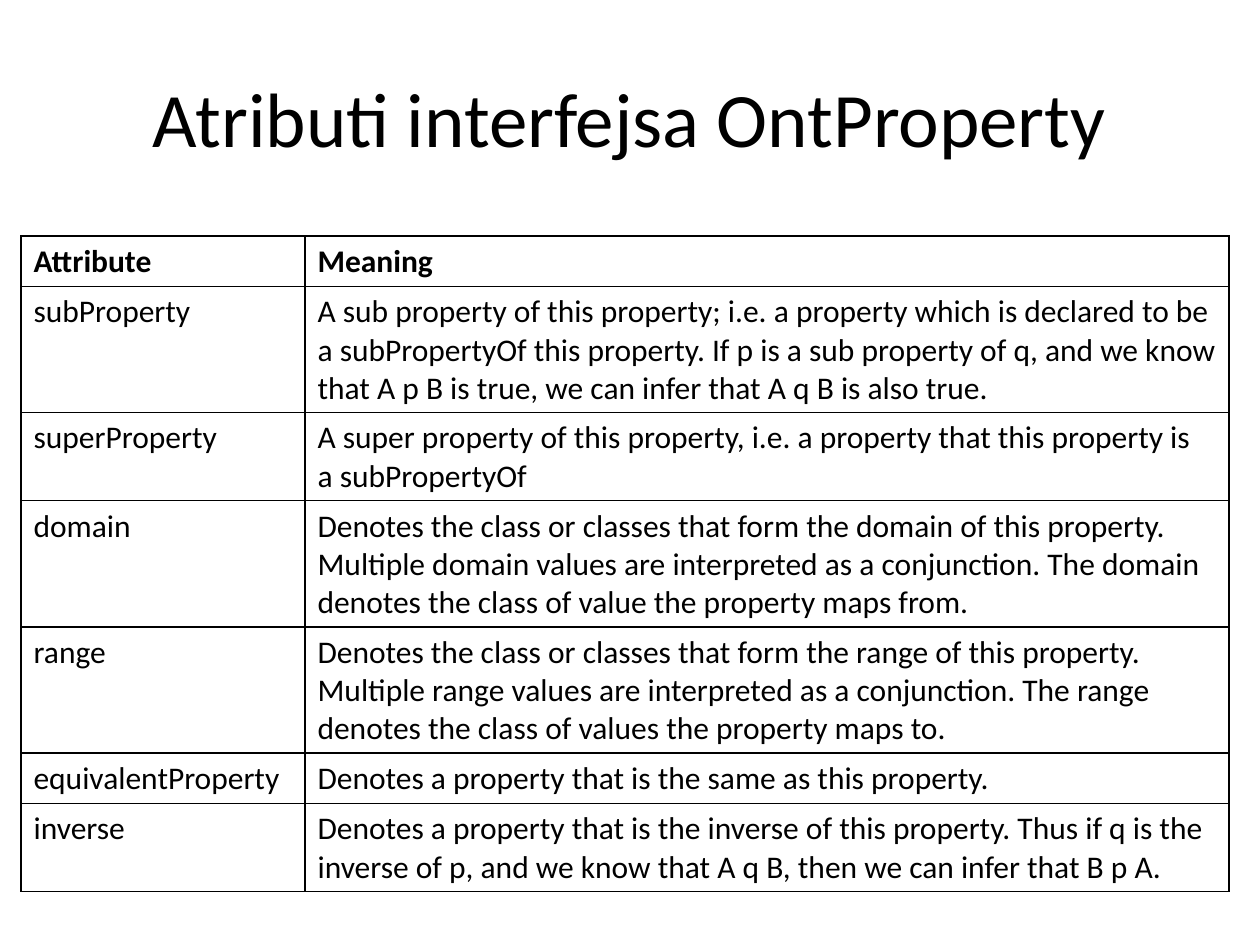
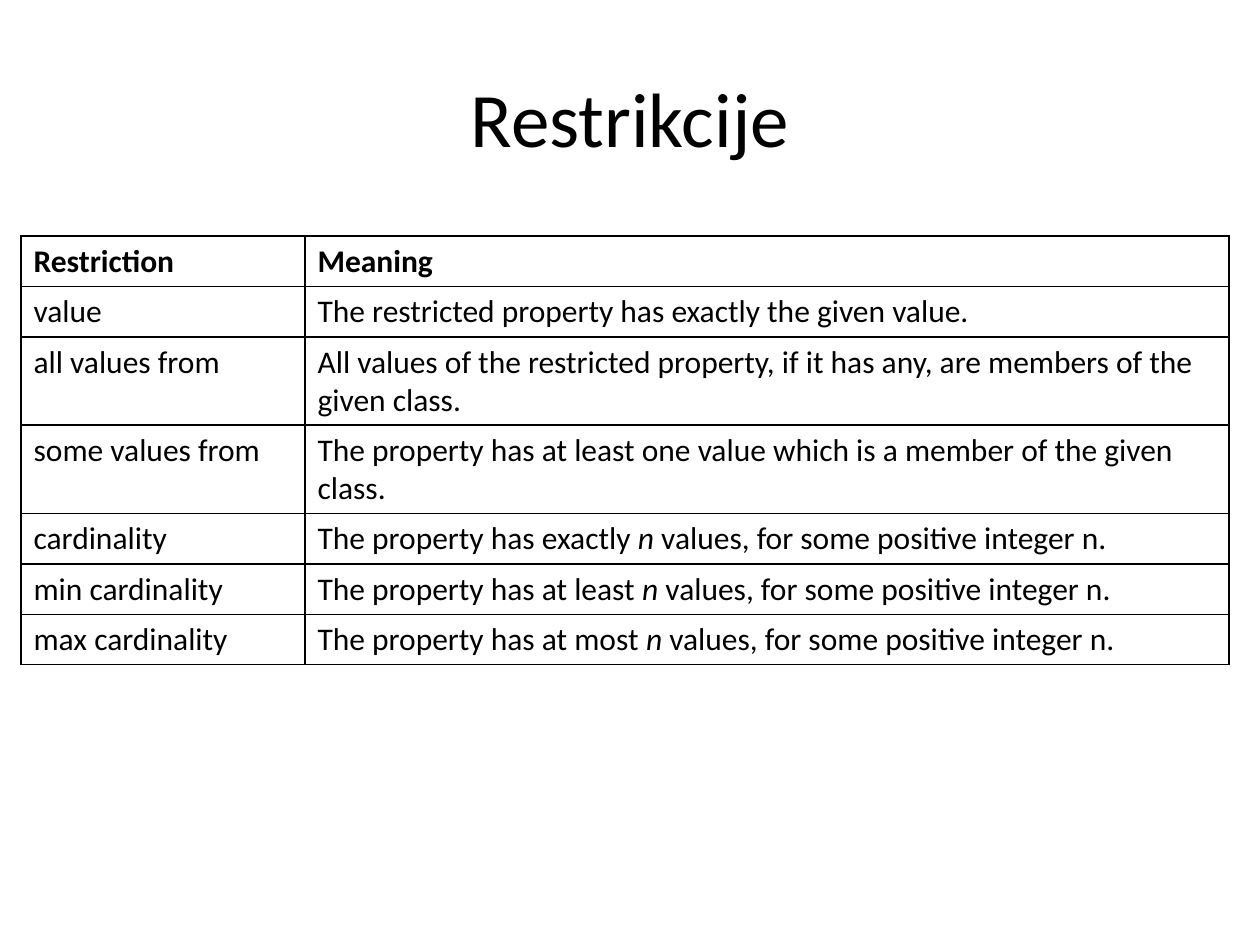
from dataclasses import dataclass

import lxml.etree
import pptx
import pptx.dml.color
import pptx.enum.text
import pptx.oxml.ns
import pptx.util

EMU_PER_PX = 914400 / 126
COLORS = {"ink": "000000", "paper": "FFFFFF"}
FONT = "Calibri"
NBSP = chr(160)
TITLE_BOX = (63, 38, 1134, 158)
TABLE_LEFT, TABLE_TOP = 21, 236
COLUMN_WIDTHS = (284, 924)
FIRST_LINE_HEIGHT, NEXT_LINE_HEIGHT = 50, 38
TITLE_FORMAT = {"name": FONT, "size": pptx.util.Pt(44), "bold": False}
HEADING_FORMAT = {"name": FONT, "size": pptx.util.Pt(18), "bold": True}
BODY_FORMAT = {**HEADING_FORMAT, "bold": False}
TITLE_FRAME = {
    "word_wrap": True,
    "vertical_anchor": pptx.enum.text.MSO_ANCHOR.MIDDLE,
}
PLAIN_TABLE = {"first_row": False, "horz_banding": False}


@dataclass(frozen=True)
class Span:
    text: str
    italic: bool = False


@dataclass(frozen=True)
class Entry:
    term: str
    meaning: tuple[Span, ...]
    lines: int = 1


@dataclass(frozen=True)
class Glossary:
    title: str
    term_heading: str
    entries: tuple[Entry, ...]


def entry(term: str, meaning: str, lines: int = 1) -> Entry:
    return Entry(term, (Span(meaning),), lines)


def cardinality(term: str, amount: str) -> Entry:
    return Entry(term, (
        Span(f"The property has {amount} "),
        Span("n", True),
        Span(" values, for some positive integer n."),
    ))


GLOSSARIES = (
    Glossary("Atributi interfejsa OntProperty", "Attribute", (
        entry("subProperty",
              "A sub property of this property; i.e. a property which is "
              f"declared to be a subPropertyOf{NBSP}this property. If p is a "
              "sub property of q, and we know that A p B is true, we can "
              "infer that A q B is also true.", 3),
        entry("superProperty",
              "A super property of this property, i.e. a property that this "
              f"property is a{NBSP}subPropertyOf", 2),
        entry("domain",
              "Denotes the class or classes that form the domain of this "
              "property. Multiple domain values are interpreted as a "
              "conjunction. The domain denotes the class of value the "
              "property maps from.", 3),
        entry("range",
              "Denotes the class or classes that form the range of this "
              "property. Multiple range values are interpreted as a "
              "conjunction. The range denotes the class of values the "
              "property maps to.", 3),
        entry("equivalentProperty",
              "Denotes a property that is the same as this property."),
        entry("inverse",
              "Denotes a property that is the inverse of this property. Thus "
              "if q is the inverse of p, and we know that A q B, then we can "
              "infer that B p A.", 2),
    )),
    Glossary("Restrikcije", "Restriction", (
        entry("value", "The restricted property has exactly the given value."),
        entry("all values from",
              "All values of the restricted property, if it has any, are "
              "members of the given class.", 2),
        entry("some values from",
              "The property has at least one value which is a member of the "
              "given class.", 2),
        cardinality("cardinality", "exactly"),
        cardinality("min cardinality", "at least"),
        cardinality("max cardinality", "at most"),
    )),
)


def px(length: int) -> pptx.util.Emu:
    return pptx.util.Emu(round(length * EMU_PER_PX))


def color(key: str) -> pptx.dml.color.RGBColor:
    return pptx.dml.color.RGBColor.from_string(COLORS[key])


def apply(target: object, values: dict) -> None:
    for attribute, value in values.items():
        setattr(target, attribute, value)


def write(paragraph, spans: tuple[Span, ...], font_format: dict) -> None:
    for span in spans:
        run = paragraph.add_run()
        run.text = span.text
        apply(run.font, {**font_format, "italic": span.italic})
        run.font.color.rgb = color("ink")


def draw_borders(cell) -> None:
    properties = cell._tc.get_or_add_tcPr()
    qn = pptx.oxml.ns.qn
    for position, side in enumerate(("lnL", "lnR", "lnT", "lnB")):
        border = lxml.etree.Element(qn(f"a:{side}"), w=str(pptx.util.Pt(1)))
        fill = lxml.etree.SubElement(border, qn("a:solidFill"))
        lxml.etree.SubElement(fill, qn("a:srgbClr"), val=COLORS["ink"])
        properties.insert(position, border)


def draw_title(slide, title: str) -> None:
    heading = slide.shapes.add_textbox(*map(px, TITLE_BOX)).text_frame
    apply(heading, TITLE_FRAME)
    paragraph = heading.paragraphs[0]
    paragraph.alignment = pptx.enum.text.PP_ALIGN.CENTER
    write(paragraph, (Span(title),), TITLE_FORMAT)


def draw_table(slide, glossary: Glossary) -> None:
    rows = (entry(glossary.term_heading, "Meaning"), *glossary.entries)
    heights = [FIRST_LINE_HEIGHT + NEXT_LINE_HEIGHT * (row.lines - 1)
               for row in rows]
    table = slide.shapes.add_table(
        len(rows), len(COLUMN_WIDTHS), px(TABLE_LEFT), px(TABLE_TOP),
        px(sum(COLUMN_WIDTHS)), px(sum(heights))).table
    apply(table, PLAIN_TABLE)
    for column, width in zip(table.columns, COLUMN_WIDTHS):
        column.width = px(width)
    for index, (row, height) in enumerate(zip(rows, heights)):
        table.rows[index].height = px(height)
        is_heading = index == 0
        for column, spans in enumerate(((Span(row.term),), row.meaning)):
            cell = table.cell(index, column)
            cell.fill.solid()
            cell.fill.fore_color.rgb = color("paper")
            if is_heading:
                cell.vertical_anchor = pptx.enum.text.MSO_ANCHOR.MIDDLE
            write(cell.text_frame.paragraphs[0], spans,
                  HEADING_FORMAT if is_heading else BODY_FORMAT)
            draw_borders(cell)


def main() -> None:
    presentation = pptx.Presentation()
    apply(presentation, {"slide_width": px(1260), "slide_height": px(945)})
    for glossary in GLOSSARIES:
        slide = presentation.slides.add_slide(presentation.slide_layouts[6])
        draw_title(slide, glossary.title)
        draw_table(slide, glossary)
    presentation.save("out.pptx")


if __name__ == "__main__":
    main()
